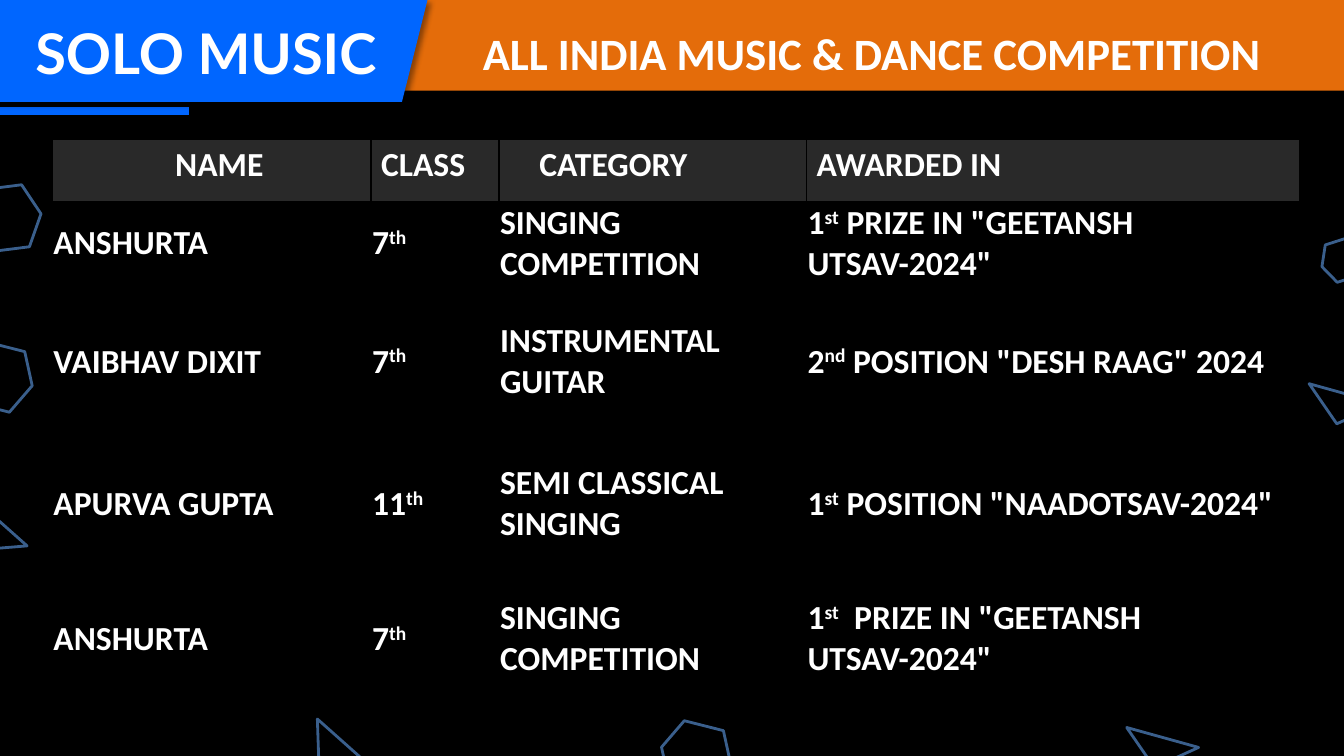
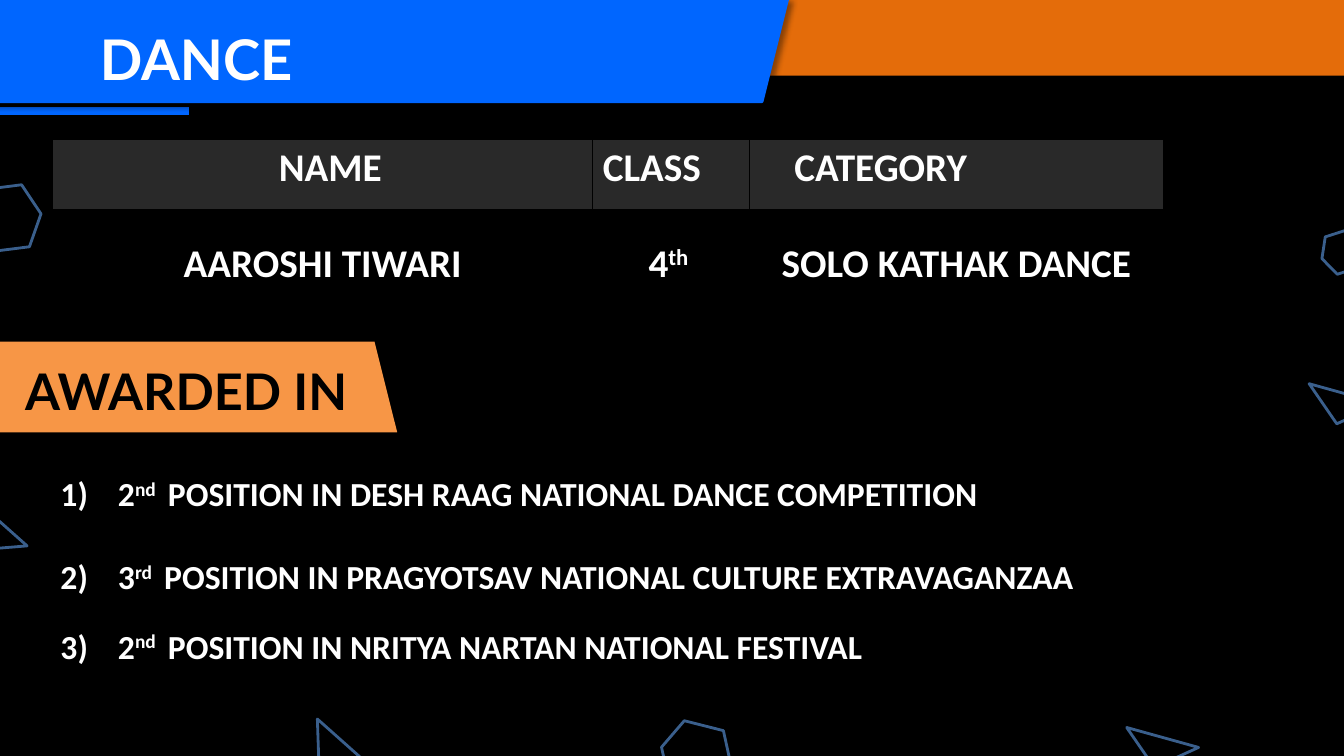
import pptx
import pptx.util
from lxml import etree
from pptx.dml.color import RGBColor
from pptx.enum.shapes import MSO_CONNECTOR, MSO_SHAPE
from pptx.enum.text import MSO_ANCHOR, MSO_AUTO_SIZE, PP_ALIGN
from pptx.oxml.ns import qn
from pptx.util import Inches, Pt

BLACK = RGBColor(0x00, 0x00, 0x00)
WHITE = RGBColor(0xFF, 0xFF, 0xFF)
ORANGE = RGBColor(0xE4, 0x6C, 0x0A)
LIGHT_ORANGE = RGBColor(0xF7, 0x96, 0x46)
BLUE = RGBColor(0x00, 0x66, 0xFF)
OUTLINE = RGBColor(0x3A, 0x5F, 0x8C)
HEADER_GREY = RGBColor(0x29, 0x29, 0x29)

HEADING = {"name": "Lato", "size": Pt(40), "bold": True}
SUBHEADING = {"name": "Lato", "size": Pt(36), "bold": True}
BANNER = {"name": "Calibri", "size": Pt(32), "bold": True}
LARGE = {"name": "Calibri", "size": Pt(28), "bold": True}
NORMAL = {"name": "Calibri", "size": Pt(24), "bold": True}

CELL_MARGINS = {"margin_left": Inches(0.01), "margin_top": Inches(0.01),
                "margin_right": Inches(0.01), "margin_bottom": 0}

TRIANGLE, HEXAGON = MSO_SHAPE.ISOSCELES_TRIANGLE, MSO_SHAPE.HEXAGON
ORNAMENTS = [
    (TRIANGLE, 11.12, 7.31, 0.74, 0.31, 195.5),
    (HEXAGON, 6.55, 7.19, 0.71, 0.62, 14.2),
    (TRIANGLE, 2.97, 7.29, 0.59, 0.31, 221.7),
    (TRIANGLE, -0.35, 5.18, 0.59, 0.31, 221.7),
    (HEXAGON, -0.38, 3.43, 0.71, 0.62, 14.2),
    (HEXAGON, -0.37, 1.86, 0.78, 0.62, 352.8),
    (TRIANGLE, 12.93, 3.9, 0.74, 0.31, 195.5),
]


def apply(target, values):
    for name, value in values.items():
        setattr(target, name, value)


def write(p, text, fmt, color=WHITE):
    """Fill a paragraph; parts between ^ marks are superscript."""
    for i, part in enumerate(text.split("^")):
        if part:
            r = p.add_run()
            r.text = part
            apply(r.font, fmt)
            r.font.color.rgb = color
            if i % 2:
                r._r.get_or_add_rPr().set("baseline", "30000")


def add_shape(s, kind, x, y, w, h, fill=None):
    sp = s.shapes.add_shape(kind, Inches(x), Inches(y), Inches(w), Inches(h))
    sp.shadow.inherit = False
    if fill is None:
        sp.fill.background()
    else:
        sp.fill.solid()
        sp.fill.fore_color.rgb = fill
    sp.line.fill.background()
    return sp


def add_shadow(sp):
    effects = sp._element.spPr.find(qn("a:effectLst"))
    shadow = etree.SubElement(effects, qn("a:outerShdw"), blurRad=str(Pt(4)),
                              dist=str(Pt(3)), dir="2700000", rotWithShape="0")
    color = etree.SubElement(shadow, qn("a:srgbClr"), val=str(BLACK))
    etree.SubElement(color, qn("a:alpha"), val="40000")


def add_label(s, text, x, y, w, h, fmt, color=WHITE):
    tf = s.shapes.add_textbox(Inches(x), Inches(y), Inches(w), Inches(h)).text_frame
    tf.word_wrap = True
    write(tf.paragraphs[0], text, fmt, color)


def add_band(s, height):
    add_shape(s, MSO_SHAPE.RECTANGLE, 0, 0, 13.33, height, ORANGE)
    line = s.shapes.add_connector(MSO_CONNECTOR.STRAIGHT, Inches(1.87), Inches(1.1),
                                  Inches(-0.63), Inches(1.1))
    line.line.color.rgb = BLUE
    line.line.width = Pt(6)
    etree.SubElement(line._element.spPr, qn("a:effectLst"))


def add_ornaments(s, right_hexagon_top):
    right_hexagon = (HEXAGON, 13.1, right_hexagon_top, 0.46, 0.39, 342.2)
    for kind, x, y, w, h, angle in ORNAMENTS + [right_hexagon]:
        sp = add_shape(s, kind, x, y, w, h)
        sp.rotation = angle
        sp.line.color.rgb = OUTLINE
        sp.line.width = Pt(2)


def add_title(s, text, x, y, w, tab_left, tab_width):
    """Blue slanted tab with the slide title over it."""
    tab = add_shape(s, MSO_SHAPE.TRAPEZOID, tab_left, 0, tab_width, 1.01, BLUE)
    tab._element.spPr.find(qn("a:xfrm")).set("flipV", "1")
    add_shadow(tab)
    title = s.shapes.title
    apply(title, {"left": Inches(x), "top": Inches(y),
                  "width": Inches(w), "height": Inches(0.77)})
    apply(title.text_frame, {"word_wrap": True, "auto_size": MSO_AUTO_SIZE.NONE,
                             "vertical_anchor": MSO_ANCHOR.TOP})
    tab._element.addnext(title._element)
    p = title.text_frame.paragraphs[0]
    p.alignment = PP_ALIGN.LEFT
    write(p, text, HEADING)
    return tab


def set_borders(cell, width):
    tc_pr = cell._tc.get_or_add_tcPr()
    for side in ("lnL", "lnR", "lnT", "lnB"):
        ln = etree.SubElement(tc_pr, qn(f"a:{side}"), w=str(Pt(width)))
        fill = etree.SubElement(ln, qn("a:solidFill"))
        etree.SubElement(fill, qn("a:srgbClr"), val=str(BLACK))


def add_table(s, x, y, widths, heights, border):
    """Empty table with black borders and tight, unfilled cells."""
    table = s.shapes.add_table(len(heights), len(widths), Inches(x), Inches(y),
                               Inches(sum(widths)), Inches(sum(heights))).table
    table.horz_banding = False
    for column, width in zip(table.columns, widths):
        column.width = Inches(width)
    for row, height in zip(table.rows, heights):
        row.height = Inches(height)
    for cell in table.iter_cells():
        set_borders(cell, border)
        cell.fill.background()
        apply(cell, CELL_MARGINS)
    return table


def add_results(s, rows, widths, heights, fmt, category_indent, align, anchor):
    table = add_table(s, 0.52, 1.38, widths, heights, 1)
    left_margins = {0: 0.25, 2: category_indent}
    for i, row in enumerate(rows):
        for j, text in enumerate(row):
            cell = table.cell(i, j)
            p = cell.text_frame.paragraphs[0]
            if i == 0:
                cell.fill.solid()
                cell.fill.fore_color.rgb = HEADER_GREY
                apply(cell, {"margin_left": Inches(left_margins.get(j, 0.1)),
                             "margin_right": Inches(0.1),
                             "margin_top": Inches(0.05),
                             "margin_bottom": Inches(0.05)})
                p.alignment = PP_ALIGN.LEFT if j else PP_ALIGN.CENTER
            else:
                cell.vertical_anchor = anchor
                p.alignment = align
            write(p, text, fmt)


def add_awards(s, awards, heights):
    """One-column table of numbered awards with a hanging indent."""
    table = add_table(s, 0.59, 4.03, (11.08,), heights, 0.5)
    hang = Inches(0.57)
    for number, award in enumerate(awards, 1):
        cell = table.cell(number - 1, 0)
        cell.vertical_anchor = MSO_ANCHOR.MIDDLE
        p = cell.text_frame.paragraphs[0]
        p_pr = p._p.get_or_add_pPr()
        p_pr.set("marL", str(hang))
        p_pr.set("indent", str(-hang))
        tabs = etree.SubElement(p_pr, qn("a:tabLst"))
        etree.SubElement(tabs, qn("a:tab"), pos=str(hang), algn="l")
        write(p, f"{number})\t{award}", NORMAL)
    table.cell(0, 0).margin_top = Inches(0.41)


def build_music(prs):
    s = prs.slides.add_slide(prs.slide_layouts[5])
    add_band(s, 0.9)
    rows = [
        ("NAME", "CLASS", "CATEGORY", "AWARDED IN"),
        ("ANSHURTA", "7^th", "SINGING COMPETITION",
         '1^st^ PRIZE IN "GEETANSH UTSAV-2024"'),
        ("VAIBHAV DIXIT", "7^th", "INSTRUMENTAL GUITAR",
         '2^nd^ POSITION "DESH RAAG" 2024'),
        ("APURVA GUPTA", "11^th", "SEMI CLASSICAL SINGING",
         '1^st^ POSITION "NAADOTSAV-2024"'),
        ("ANSHURTA", "7^th", "SINGING COMPETITION",
         '1^st^  PRIZE IN "GEETANSH UTSAV-2024"'),
    ]
    add_results(s, rows, (3.16, 1.27, 3.05, 4.89), (0.62, 0.78, 1.52, 1.3, 1.38),
                NORMAL, 0.4, PP_ALIGN.LEFT, MSO_ANCHOR.MIDDLE)
    add_ornaments(s, 2.38)
    add_title(s, "SOLO MUSIC", 0.25, 0.13, 3.83, -1.3, 5.54)
    add_label(s, "ALL INDIA MUSIC & DANCE COMPETITION", 4.69, 0.21, 8.64, 0.64, BANNER)


def build_dance(prs):
    s = prs.slides.add_slide(prs.slide_layouts[5])
    awards = ["2^nd ^ POSITION IN DESH RAAG NATIONAL DANCE COMPETITION",
              "3^rd ^ POSITION IN PRAGYOTSAV NATIONAL CULTURE EXTRAVAGANZAA",
              "2^nd ^ POSITION IN NRITYA NARTAN NATIONAL FESTIVAL"]
    add_awards(s, awards, (1.35, 0.7, 0.68))
    add_band(s, 0.75)
    rows = [("NAME", "CLASS", "CATEGORY"),
            ("AAROSHI TIWARI", "4^th ", "SOLO KATHAK DANCE")]
    add_results(s, rows, (5.36, 1.55, 4.11), (0.7, 0.78), LARGE, 0.45,
                PP_ALIGN.CENTER, MSO_ANCHOR.BOTTOM)
    add_ornaments(s, 2.3)
    tab = add_title(s, "DANCE", 0.89, 0.19, 7.16, -1.38, 9.19)
    tab.line.color.rgb = BLUE
    tab.line.width = Pt(2)
    add_shape(s, MSO_SHAPE.TRAPEZOID, -0.86, 3.39, 4.8, 0.9, LIGHT_ORANGE)
    add_label(s, "AWARDED IN", 0.15, 3.52, 3.57, 0.71, SUBHEADING, BLACK)


def main():
    prs = pptx.Presentation()
    prs.slide_width, prs.slide_height = Inches(13.33), Inches(7.5)
    background = prs.slide_master.background.fill
    background.solid()
    background.fore_color.rgb = BLACK
    build_music(prs)
    build_dance(prs)
    prs.save("out.pptx")


if __name__ == "__main__":
    main()
